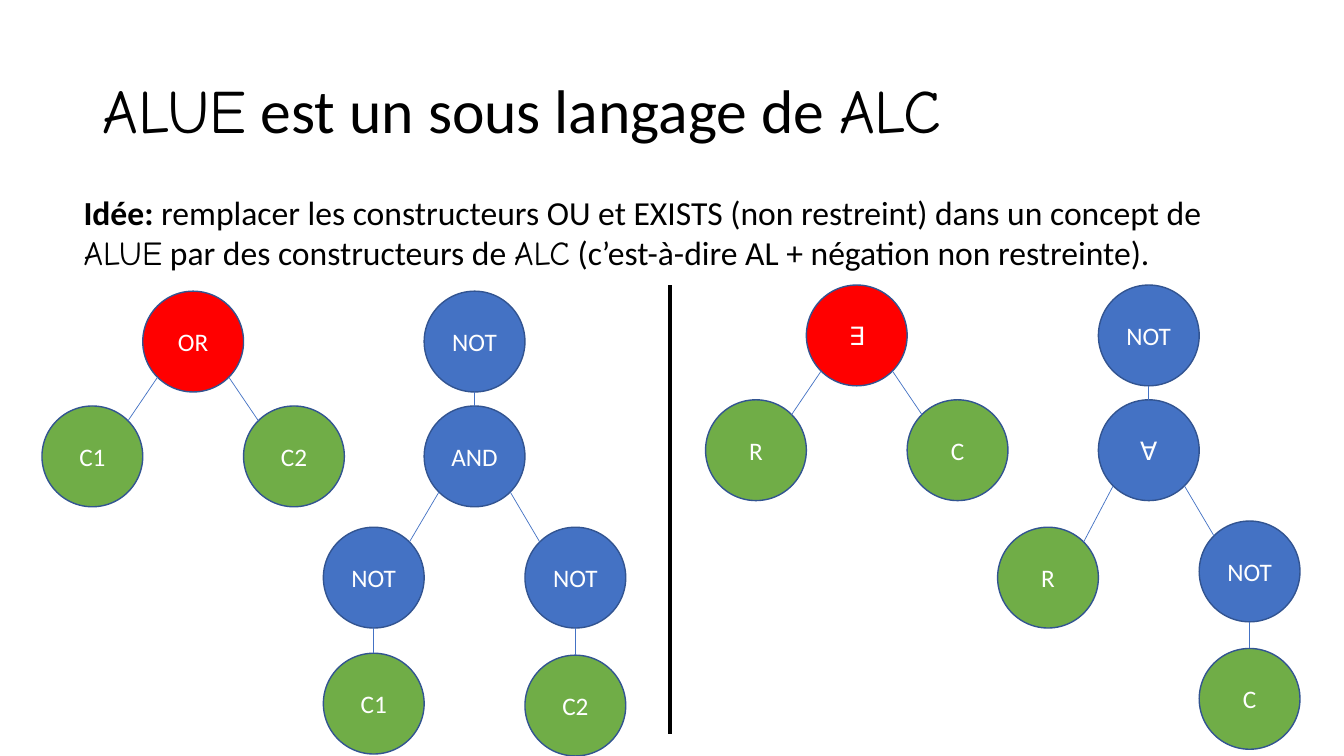
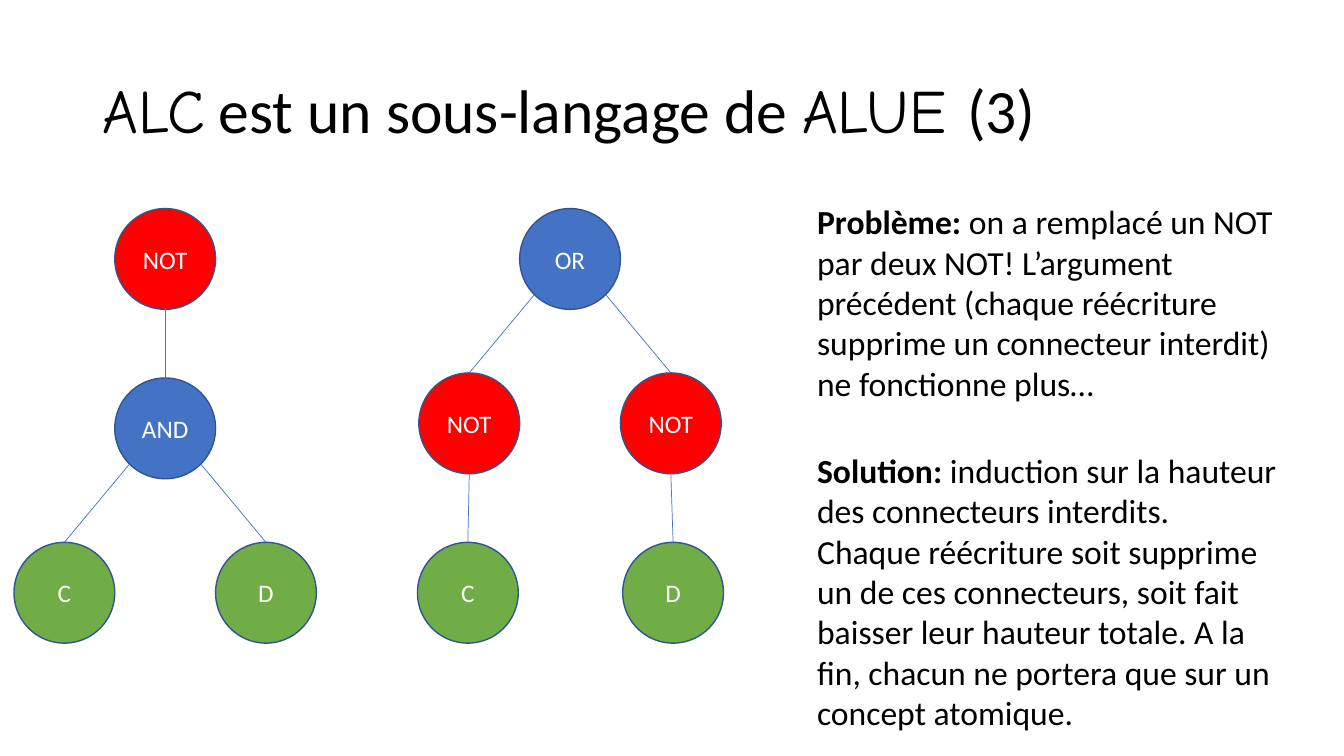
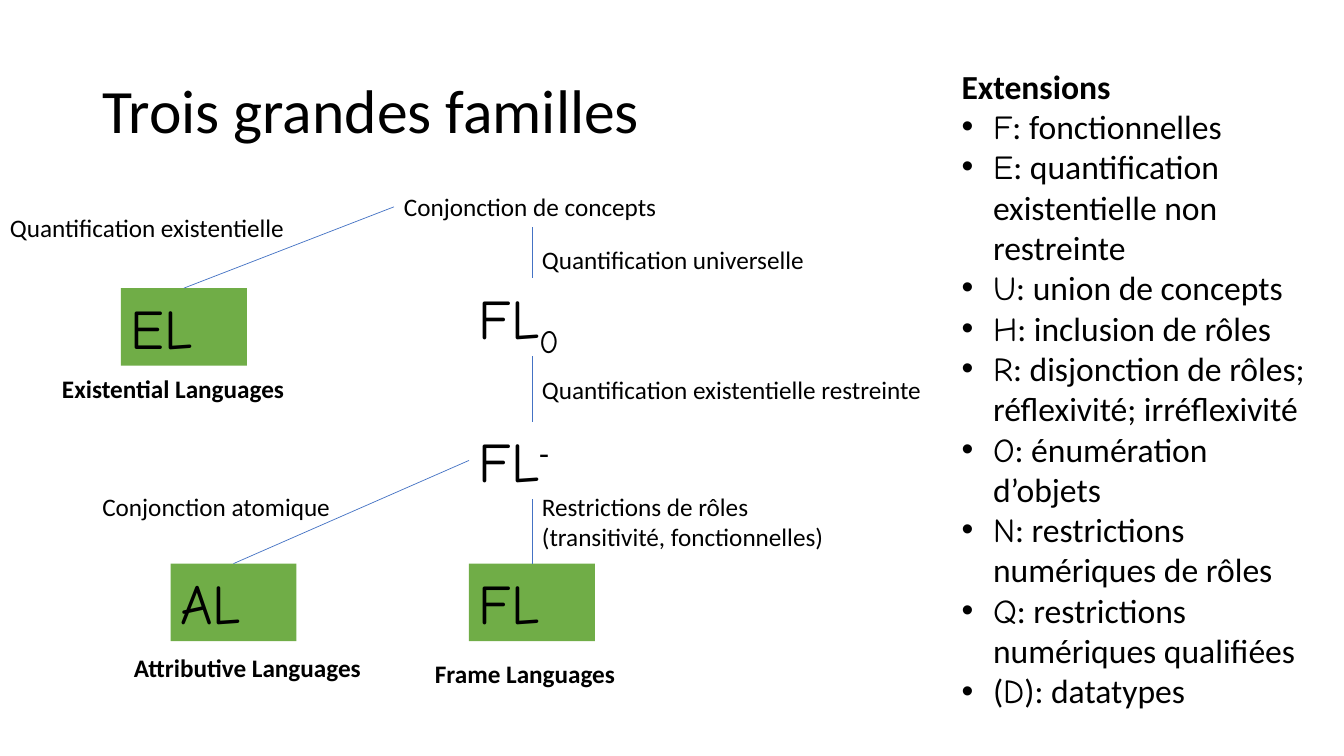
import math

import pptx
import pptx.dml.color
import pptx.enum.shapes
import pptx.enum.text
import pptx.oxml
import pptx.oxml.ns
import pptx.util

Pt = pptx.util.Pt
RGBColor = pptx.dml.color.RGBColor
MSO_SHAPE = pptx.enum.shapes.MSO_SHAPE
MSO_CONNECTOR = pptx.enum.shapes.MSO_CONNECTOR
PP_ALIGN = pptx.enum.text.PP_ALIGN
MSO_ANCHOR = pptx.enum.text.MSO_ANCHOR
MSO_AUTO_SIZE = pptx.enum.text.MSO_AUTO_SIZE

BLACK = RGBColor(0x00, 0x00, 0x00)
WHITE = RGBColor(0xFF, 0xFF, 0xFF)
RED = RGBColor(0xFF, 0x00, 0x00)
GREEN = RGBColor(0x70, 0xAD, 0x47)
BLUE = RGBColor(0x44, 0x72, 0xC4)
OUTLINE = RGBColor(0x32, 0x54, 0x91)

BOLD = {"bold": True}
SCRIPT = {"name": "Comic Neue"}
TOP, LEFT, BOTTOM = 0, 1, 2
NODE = 72
DIAGONAL = NODE / 2 * math.sqrt(0.5)
TILE_W, TILE_H = 90, 55.4


class Deck:
    """Shared style and the slide being built, with one method per kind of element."""

    def __init__(self):
        self.prs = pptx.Presentation()
        self.prs.slide_width, self.prs.slide_height = Pt(960), Pt(540)
        self.s = None

    def place(self, sp, x, y, w, h):
        for name, value in {"left": x, "top": y, "width": w, "height": h}.items():
            setattr(sp, name, Pt(value))

    def set_text(self, tf, paragraphs, size, color=BLACK, **layout):
        for i, runs in enumerate(paragraphs):
            p = tf.paragraphs[0] if i == 0 else tf.add_paragraph()
            for name, value in layout.items():
                setattr(p, name, value)
            for run in runs:
                text, extra = (run, {}) if isinstance(run, str) else run
                fmt = {"name": "Calibri", "size": Pt(size), "bold": False, **extra}
                baseline = fmt.pop("baseline", None)
                r = p.add_run()
                r.text = text
                r.font.color.rgb = color
                for name, value in fmt.items():
                    setattr(r.font, name, value)
                if baseline:
                    r.font._element.set("baseline", str(baseline * 1000))

    def slide(self, title, layout=5):
        self.s = self.prs.slides.add_slide(self.prs.slide_layouts[layout])
        sp = self.s.shapes.title
        self.place(sp, 66, 28.8, 828, 104.4)
        tf = sp.text_frame
        tf.auto_size = MSO_AUTO_SIZE.NONE
        tf.vertical_anchor = MSO_ANCHOR.MIDDLE
        self.set_text(tf, [title], 44, alignment=PP_ALIGN.LEFT, line_spacing=0.9)

    def text(self, paragraphs, x, y, w, h, size=24, wrap=True):
        sp = self.s.shapes.add_textbox(Pt(x), Pt(y), Pt(w), Pt(h))
        tf = sp.text_frame
        tf.word_wrap = wrap
        tf.auto_size = MSO_AUTO_SIZE.SHAPE_TO_FIT_TEXT
        self.set_text(tf, paragraphs, size)
        return sp

    def label(self, x, y, w, *lines, **fmt):
        return self.text([[(line, fmt)] for line in lines], x, y, w,
                         7.4 + 21.7 * len(lines), 18, False)

    def tile(self, runs, x, y):
        sp = self.s.shapes.add_shape(MSO_SHAPE.RECTANGLE, Pt(x), Pt(y), Pt(TILE_W), Pt(TILE_H))
        sp.shadow.inherit = False
        sp.fill.solid()
        sp.fill.fore_color.rgb = GREEN
        sp.line.fill.background()
        sp.text_frame.vertical_anchor = MSO_ANCHOR.TOP
        self.set_text(sp.text_frame, [runs], 40, alignment=PP_ALIGN.LEFT)
        return sp

    def line(self, x1, y1, x2, y2, color=BLUE, width=0.5):
        cxn = self.s.shapes.add_connector(MSO_CONNECTOR.STRAIGHT, Pt(x1), Pt(y1), Pt(x2), Pt(y2))
        cxn.line.color.rgb = color
        cxn.line.width = Pt(width)
        spPr = cxn._element.spPr
        spPr.append(spPr.makeelement(pptx.oxml.ns.qn("a:effectLst"), {}))
        return cxn

    def join(self, start, site, end):
        cxn = self.line(0, 0, 1, 1)
        cxn.begin_connect(start, site)
        cxn.end_connect(end, TOP)

    def node(self, label, fill, x, y):
        sp = self.s.shapes.add_shape(MSO_SHAPE.OVAL, Pt(x), Pt(y), Pt(NODE), Pt(NODE))
        sp.shadow.inherit = False
        sp.fill.solid()
        sp.fill.fore_color.rgb = fill
        sp.line.color.rgb = OUTLINE
        sp.line.width = Pt(1)
        sp.text_frame.vertical_anchor = MSO_ANCHOR.MIDDLE
        self.set_text(sp.text_frame, [[label]], 18, WHITE, alignment=PP_ALIGN.CENTER)
        return sp

    def tree(self, x, y, label, fill, *children, to_top=False):
        sp = self.node(label, fill, x, y)
        cx, cy = x + NODE / 2, y + NODE / 2
        for dx, dy, *child in children:
            kid = self.tree(x + dx, y + dy, *child, to_top=to_top)
            if abs(dx) < NODE:
                start = cx, y + NODE
            else:
                start = cx + math.copysign(DIAGONAL, dx), cy + DIAGONAL
            if abs(dx) < NODE or to_top:
                self.line(*start, cx + dx, y + dy).end_connect(kid, TOP)
            else:
                self.line(*start, cx + dx - math.copysign(DIAGONAL, dx), cy + dy - DIAGONAL)
        return sp

    def bullets(self, heading, items, x, y, w, h):
        sp = self.s.placeholders[1]
        self.place(sp, x, y, w, h)
        tf = sp.text_frame
        tf.auto_size = MSO_AUTO_SIZE.NONE
        self.set_text(tf, [heading, *items], 24, space_before=Pt(0))
        for i, p in enumerate(tf.paragraphs):
            pPr = p._p.get_or_add_pPr()
            indent = Pt(22.5) if i else 0
            pPr.set("marL", str(indent))
            pPr.set("indent", str(-indent))
            tags = [("a:buFont", {"typeface": "Arial"}), ("a:buChar", {"char": "•"})]
            for tag, attrs in tags if i else [("a:buNone", {})]:
                pPr.append(pPr.makeelement(pptx.oxml.ns.qn(tag), attrs))


def alue_in_alc(d):
    d.slide([("ALUE", SCRIPT), " est un sous langage de ", ("ALC", SCRIPT)])
    d.text([[("Idée: ", BOLD),
             "remplacer les constructeurs OU et EXISTS (non restreint) dans un concept de ",
             ("ALUE", SCRIPT), " par des constructeurs de ", ("ALC", SCRIPT),
             " (c’est-à-dire AL + négation non restreinte)."]], 52.6, 133.2, 828, 94.3)
    d.tree(102, 208, "OR", RED,
           (-NODE, 82, "C1", GREEN), (NODE, 82, "C2", GREEN))
    d.tree(303, 208, "NOT", BLUE,
           (0, 82, "AND", BLUE,
            (-NODE, 86.6, "NOT", BLUE, (0, 90, "C1", GREEN)),
            (NODE, 86.6, "NOT", BLUE, (0, 91.4, "C2", GREEN))))
    d.tree(576, 203.6, "∃", RED,
           (-NODE, 82, "R", GREEN), (NODE, 82, "C", GREEN))
    d.tree(784.6, 203.6, "NOT", BLUE,
           (0, 82, "∀", BLUE,
            (-NODE, 91, "R", GREEN),
            (NODE, 86.6, "NOT", BLUE, (0, 91, "C", GREEN))))
    d.line(478.4, 203.6, 478.4, 524, BLACK, 3)


def alc_in_alue(d):
    d.slide([("ALC", SCRIPT), " est un sous-langage de ", ("ALUE ", SCRIPT), "(3)"])
    d.tree(82, 149, "NOT", RED,
           (0, 121, "AND", BLUE,
            (-NODE, 117.4, "C", GREEN), (NODE, 117.4, "D", GREEN)), to_top=True)
    d.tree(371.2, 149, "OR", BLUE,
           (-NODE, 117.4, "NOT", RED, (-1, 121, "C", GREEN)),
           (NODE, 117.4, "NOT", RED, (1.6, 121, "D", GREEN)), to_top=True)
    d.text([[("Problème: ", BOLD),
             "on a remplacé un NOT par deux NOT! L’argument précédent (chaque réécriture "
             "supprime un connecteur interdit) ne fonctionne plus…"]], 576.6, 140.2, 343.4, 152.6)
    d.text([[("Solution: ", BOLD),
             "induction sur la hauteur des connecteurs interdits. Chaque réécriture soit "
             "supprime un de ces connecteurs, soit fait baisser leur hauteur totale. A la fin, "
             "chacun ne portera que sur un concept atomique."]], 576.6, 317.8, 343.4, 211)


def families(d):
    d.slide(["Trois grandes familles"], layout=1)
    conj = d.label(281.4, 133.2, 197.2, "Conjonction de concepts")
    fl0 = d.text([[("FL", SCRIPT), ("0", {**SCRIPT, "baseline": -25})]],
                 335, 198.9, TILE_W, TILE_H, 40)
    fl_minus = d.text([[("FL", SCRIPT), ("-", {"baseline": 30})]],
                      335, 301.2, TILE_W, TILE_H, 40)
    el = d.tile([("EL", SCRIPT)], 86.4, 205.8)
    al = d.tile([("AL", SCRIPT)], 121.8, 402.6)
    fl = d.tile([("FL", SCRIPT)], 335, 402.6)
    for start, site, end in ((conj, LEFT, el), (conj, BOTTOM, fl0), (fl0, BOTTOM, fl_minus),
                             (fl_minus, LEFT, al), (fl_minus, BOTTOM, fl)):
        d.join(start, site, end)
    d.label(0, 147.8, 216.7, "Quantification existentielle")
    d.label(380, 170.8, 204.5, "Quantification universelle")
    d.label(380, 263.8, 288.7, "Quantification existentielle restreinte")
    d.label(380, 347.2, 218.2, "Restrictions de rôles", "(transitivité, fonctionnelles)")
    d.label(66, 347.2, 179.3, "Conjonction atomique")
    d.label(37.2, 263, 174.2, "Existential Languages", **BOLD)
    d.label(88.6, 462.4, 178.6, "Attributive Languages", **BOLD)
    d.label(303.6, 466.6, 144, "Frame Languages", **BOLD)
    extensions = {
        "F": "fonctionnelles",
        "E": "quantification existentielle non restreinte",
        "U": "union de concepts",
        "H": "inclusion de rôles",
        "R": "disjonction de rôles; réflexivité; irréflexivité",
        "O": "énumération d’objets",
        "N": "restrictions numériques de rôles",
        "Q": "restrictions numériques qualifiées",
    }
    items = [[(letter, SCRIPT), ": " + meaning] for letter, meaning in extensions.items()]
    items.append(["(", ("D", SCRIPT), "): datatypes"])
    d.bullets([("Extensions", BOLD)], items, 679.6, 43.2, 268.6, 472.3)


def main():
    d = Deck()
    for build in (alue_in_alc, alc_in_alue, families):
        build(d)
    d.prs.save("out.pptx")


if __name__ == "__main__":
    main()
